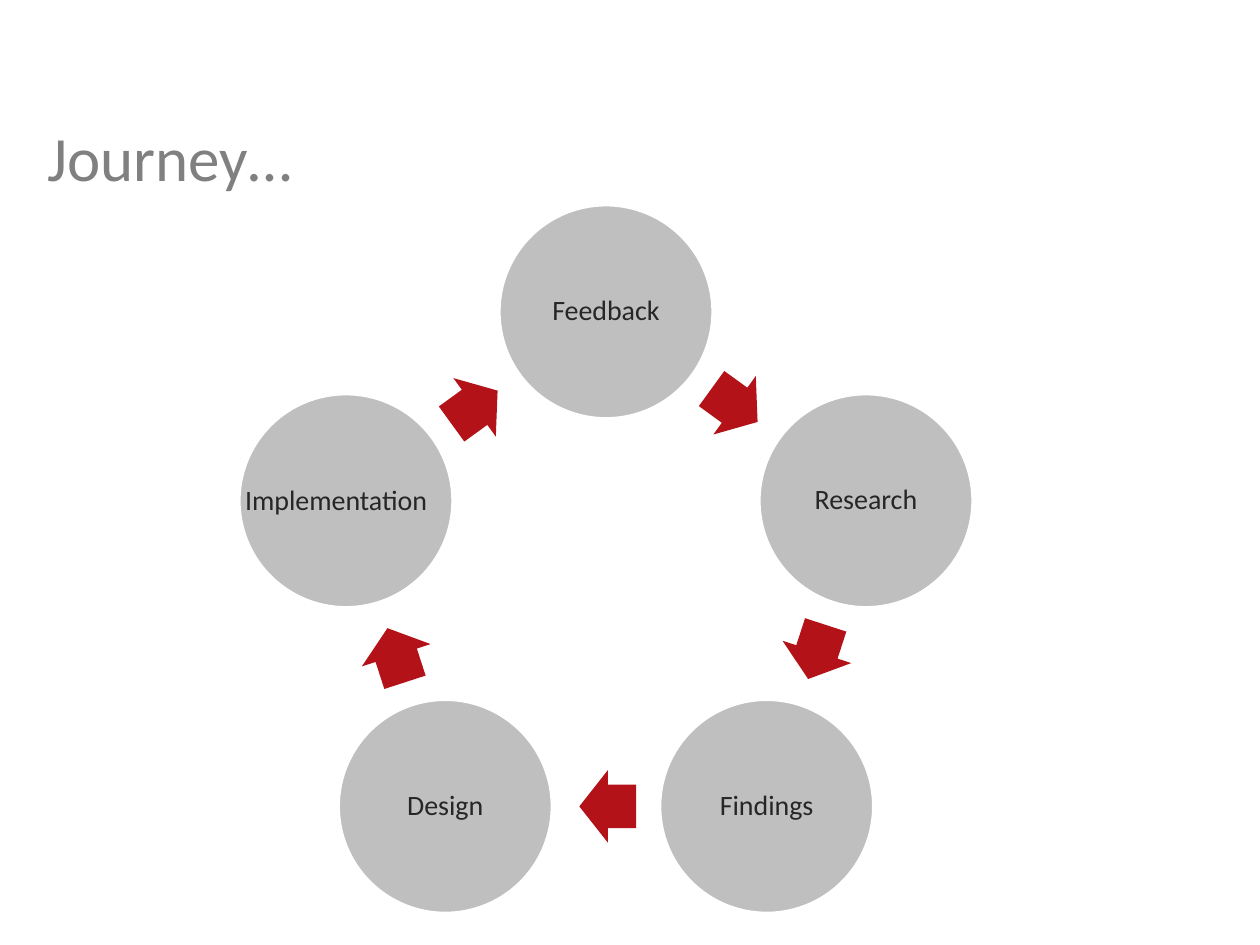
from math import cos, radians, sin

from pptx import Presentation
from pptx.dml.color import RGBColor
from pptx.enum.shapes import MSO_SHAPE as Shape
from pptx.enum.text import MSO_ANCHOR as Anchor, PP_ALIGN as Align
from pptx.util import Pt

GRAY, RED, INK = "BFBFBF", "B31218", "262626"
STEPS = ["Feedback", "Research", "Findings", "Design", ""]


def color(code):
    """Turn a hex string into a colour."""
    return RGBColor.from_string(code)


def write(frame, text, size, ink):
    """Put one styled line of text in a frame."""
    frame.text = text
    font = frame.paragraphs[0].runs[0].font
    font.name, font.size = "Calibri", Pt(size)
    font.color.rgb = color(ink)


def label(slide, box, text, size, ink, anchor):
    """Add a left-aligned text box."""
    frame = slide.shapes.add_textbox(*map(Pt, box)).text_frame
    frame.word_wrap = True
    frame.vertical_anchor = anchor
    write(frame, text, size, ink)


def solid(group, kind, mid, wide, high, fill):
    """Add a filled shape centred on a point."""
    x, y = mid
    shape = group.shapes.add_shape(
        kind, Pt(x - wide / 2), Pt(y - high / 2), Pt(wide), Pt(high))
    shape.shadow.inherit = False
    shape.fill.solid()
    shape.fill.fore_color.rgb = color(fill)
    shape.line.fill.background()
    return shape


def node(group, mid, size, text):
    """Add one circle of the cycle with its name."""
    disc = solid(group, Shape.OVAL, mid, size, size, GRAY)
    disc.line.color.rgb = color("FFFFFF")
    disc.line.width = Pt(2)
    if text:
        frame = disc.text_frame
        frame.word_wrap = True
        frame.vertical_anchor = Anchor.MIDDLE
        frame.margin_left = frame.margin_right = Pt(1.6)
        frame.margin_top = frame.margin_bottom = Pt(1.6)
        write(frame, text, 16, INK)
        line = frame.paragraphs[0]
        line.alignment, line.line_spacing = Align.CENTER, 0.9


def cycle(slide, box, names, size):
    """Draw a ring of circles joined by arrows inside a box."""
    left, top, wide, high = box
    group = slide.shapes.add_group_shape()
    step = 360 / len(names)
    ring = (high - size) / (1 + cos(radians(step / 2)))
    cx, cy = left + wide / 2, top + size / 2 + ring

    def spot(angle, reach):
        """Find a point clockwise from the top of the ring."""
        turn = radians(angle)
        return cx + reach * sin(turn), cy - reach * cos(turn)

    for i, name in enumerate(names):
        node(group, spot(i * step, ring), size, name)
        turn = (i + 0.5) * step
        x, y = spot(turn, ring * cos(radians(step / 2)))
        back = radians(turn)
        mid = x - cos(back), y - sin(back)
        arrow = solid(group, Shape.RIGHT_ARROW, mid, 32.5, 41.3, RED)
        arrow.adjustments[0], arrow.adjustments[1] = 0.6, 0.5
        arrow.rotation = turn


def main():
    """Build the slide and save it."""
    deck = Presentation()
    deck.slide_width, deck.slide_height = Pt(720), Pt(540)
    slide = deck.slides.add_slide(deck.slide_layouts[6])
    label(slide, (20, 67, 653, 45), "Journey…", 36, "808080", Anchor.MIDDLE)
    cycle(slide, (137, 117, 418.6, 405), STEPS, 122.4)
    label(slide, (133, 272, 130.5, 26.6), "Implementation", 16, INK, Anchor.TOP)
    deck.save("out.pptx")


if __name__ == "__main__":
    main()
